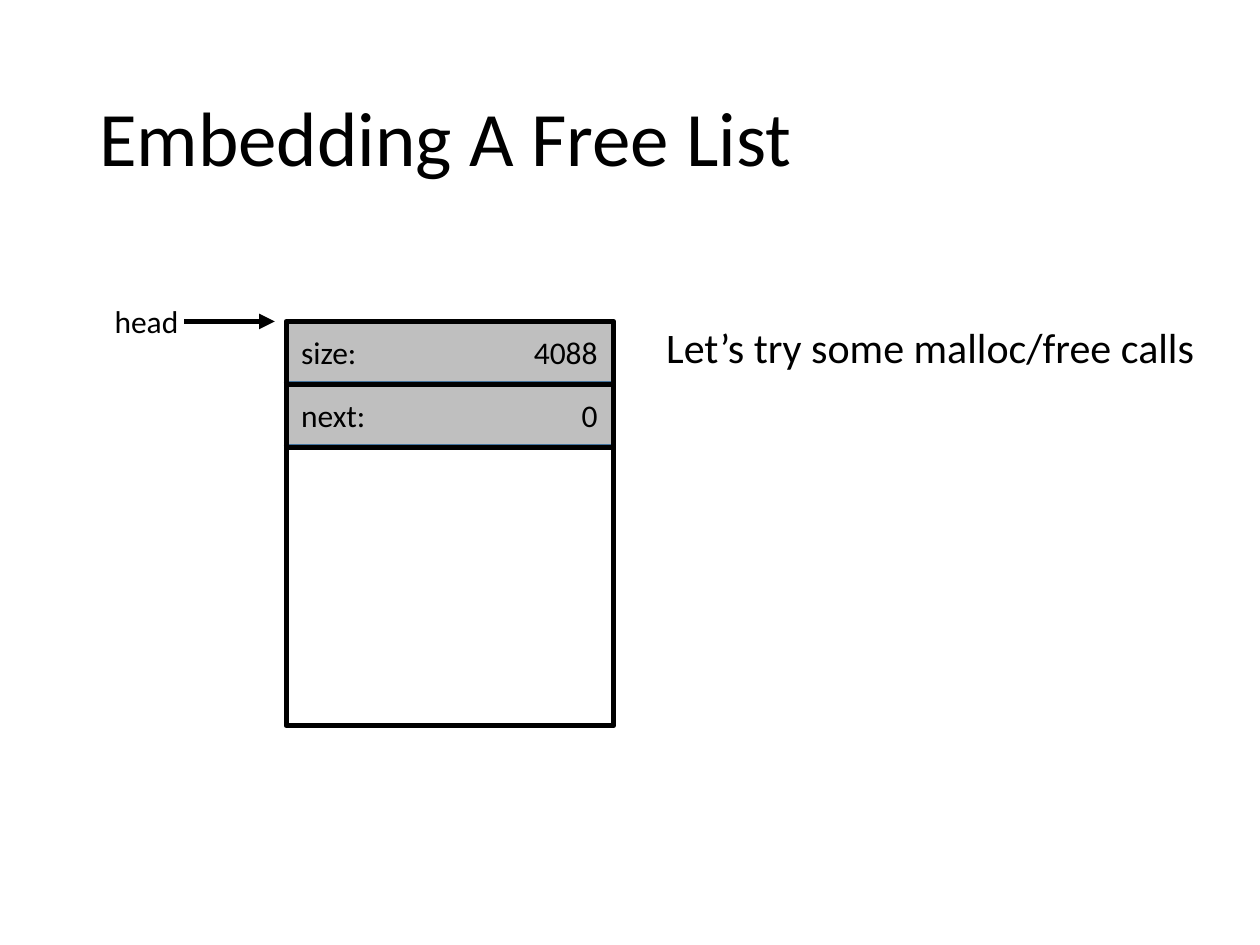
import pptx
import pptx.dml.color
import pptx.enum.shapes
import pptx.enum.text
import pptx.oxml.ns
import pptx.util
from lxml import etree
from pptx.util import Cm

BLACK = "000000"
GREY = "BFBFBF"
BLUE = "43739E"
BLOCK_LEFT, BLOCK_TOP, BLOCK_WIDTH, BLOCK_HEIGHT = 5.77, 6.48, 6.6, 8.15
ROW_STEP, ROW_HEIGHT = 1.27, 1.22
ROW_INSET = 0.3
LINE_OVERHANG = 0.05
FIELDS = [("size:", "4088"), ("next:", "0")]


def color(value):
    return pptx.dml.color.RGBColor.from_string(value)


def add_child(parent, tag, **attributes):
    return etree.SubElement(parent, pptx.oxml.ns.qn(tag), attributes)


def write_text(shape, text, size=18, anchor="TOP", wrap=True, spacing=None,
               inset=0.25, tab=None):
    frame = shape.text_frame
    frame.word_wrap = wrap
    frame.vertical_anchor = getattr(pptx.enum.text.MSO_ANCHOR, anchor)
    frame.margin_left = frame.margin_right = Cm(inset)
    paragraph = frame.paragraphs[0]
    paragraph.text = text
    paragraph.alignment = pptx.enum.text.PP_ALIGN.LEFT
    if spacing:
        paragraph.line_spacing = spacing
    if tab:
        tabs = add_child(paragraph._p.get_or_add_pPr(), "a:tabLst")
        add_child(tabs, "a:tab", pos=str(Cm(tab)), algn="r")
    font = paragraph.runs[0].font
    font.name = "Calibri"
    font.size = pptx.util.Pt(size)
    font.color.rgb = color(BLACK)


def add_label(slide, text, left, top, width, height, **text_format):
    box = slide.shapes.add_textbox(Cm(left), Cm(top), Cm(width), Cm(height))
    write_text(box, text, **text_format)


def add_rectangle(slide, left, top, width, height, fill, line, weight):
    shape = slide.shapes.add_shape(
        pptx.enum.shapes.MSO_SHAPE.RECTANGLE,
        Cm(left), Cm(top), Cm(width), Cm(height))
    shape.shadow.inherit = False
    if fill:
        shape.fill.solid()
        shape.fill.fore_color.rgb = color(fill)
    else:
        shape.fill.background()
    shape.line.color.rgb = color(line)
    shape.line.width = pptx.util.Pt(weight)
    return shape


def add_field(slide, name, value, top):
    shape = add_rectangle(slide, BLOCK_LEFT, top, BLOCK_WIDTH, ROW_HEIGHT,
                          GREY, BLUE, 1)
    write_text(shape, f"{name}\t{value}", anchor="MIDDLE", inset=ROW_INSET,
               tab=BLOCK_WIDTH - 2 * ROW_INSET - 0.02)


def add_horizontal_line(slide, start, end, top, arrow=False):
    connector = slide.shapes.add_connector(
        pptx.enum.shapes.MSO_CONNECTOR.STRAIGHT,
        Cm(start), Cm(top), Cm(end), Cm(top))
    connector.line.color.rgb = color(BLACK)
    connector.line.width = pptx.util.Pt(3)
    if arrow:
        add_child(connector.line._get_or_add_ln(), "a:tailEnd", type="triangle")
    add_child(connector._element.spPr, "a:effectLst")


def main():
    presentation = pptx.Presentation()
    presentation.slide_width = Cm(25.4)
    presentation.slide_height = Cm(19.05)
    slide = presentation.slides.add_slide(presentation.slide_layouts[6])

    add_label(slide, "Embedding A Free List", 1.75, 1.02, 21.9, 3.68,
              size=44, anchor="MIDDLE", spacing=0.9)
    for index, (name, value) in enumerate(FIELDS):
        add_field(slide, name, value, BLOCK_TOP + index * ROW_STEP)
    add_rectangle(slide, BLOCK_LEFT, BLOCK_TOP, BLOCK_WIDTH, BLOCK_HEIGHT,
                  None, BLACK, 3)
    for index in range(len(FIELDS)):
        add_horizontal_line(slide, BLOCK_LEFT - LINE_OVERHANG,
                            BLOCK_LEFT + BLOCK_WIDTH + LINE_OVERHANG,
                            BLOCK_TOP + (index + 1) * ROW_STEP)
    add_label(slide, "Let’s try some malloc/free calls", 13.18, 6.35, 11.25, 1.27,
              size=24, wrap=False)
    add_label(slide, "head", 2.06, 5.97, 1.83, 1.02, wrap=False)
    add_horizontal_line(slide, 3.71, 5.54, BLOCK_TOP, arrow=True)

    presentation.save("out.pptx")


if __name__ == "__main__":
    main()
